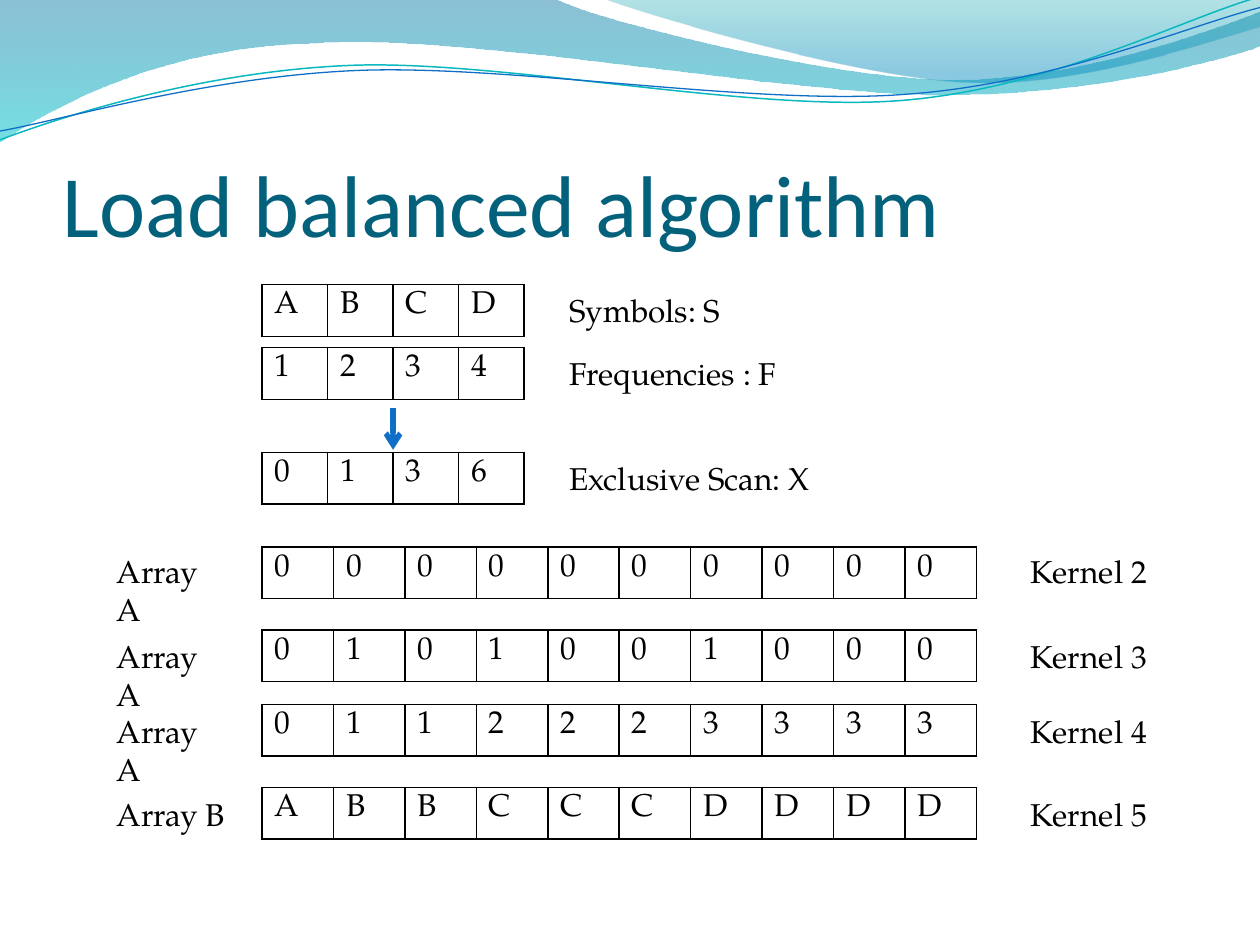
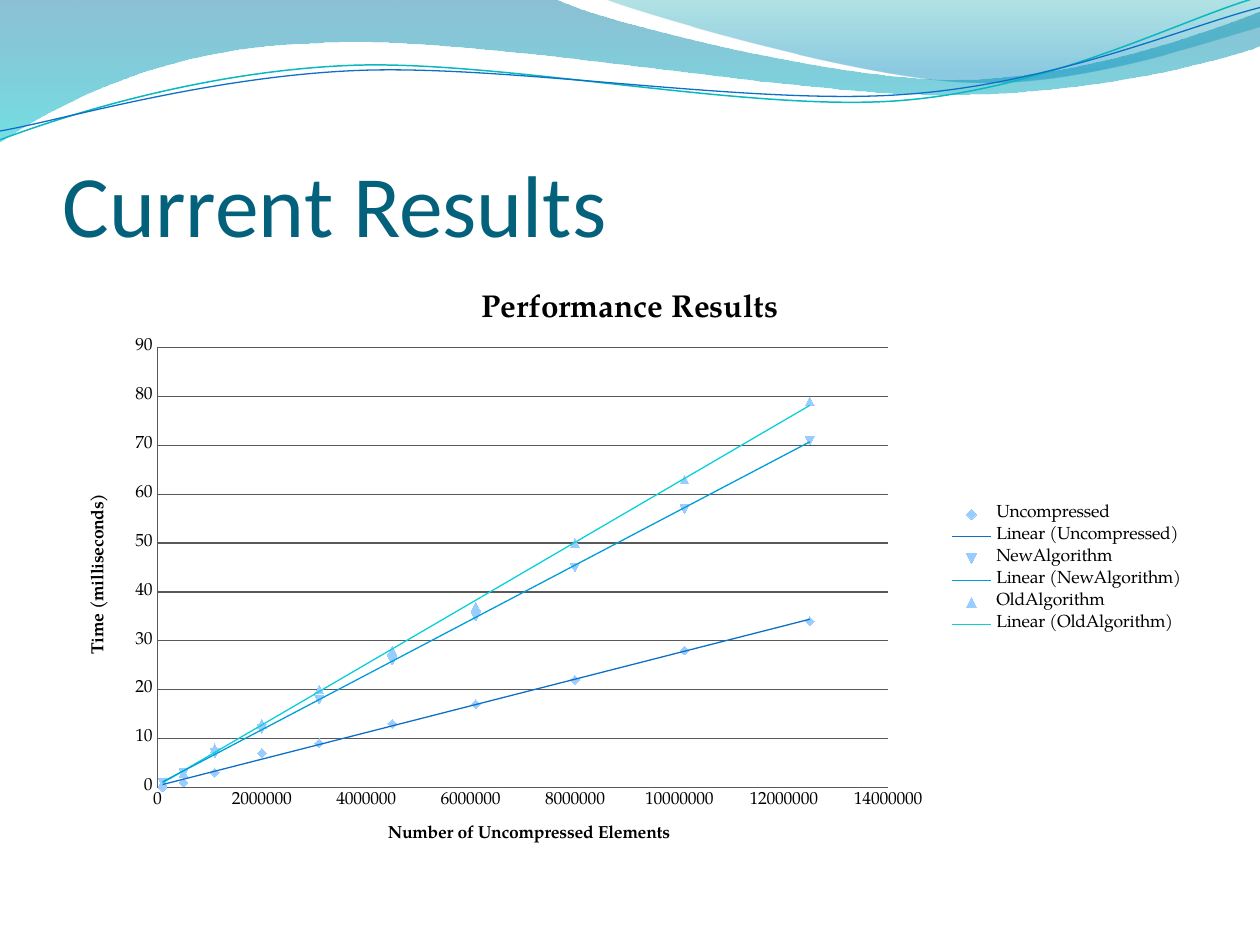
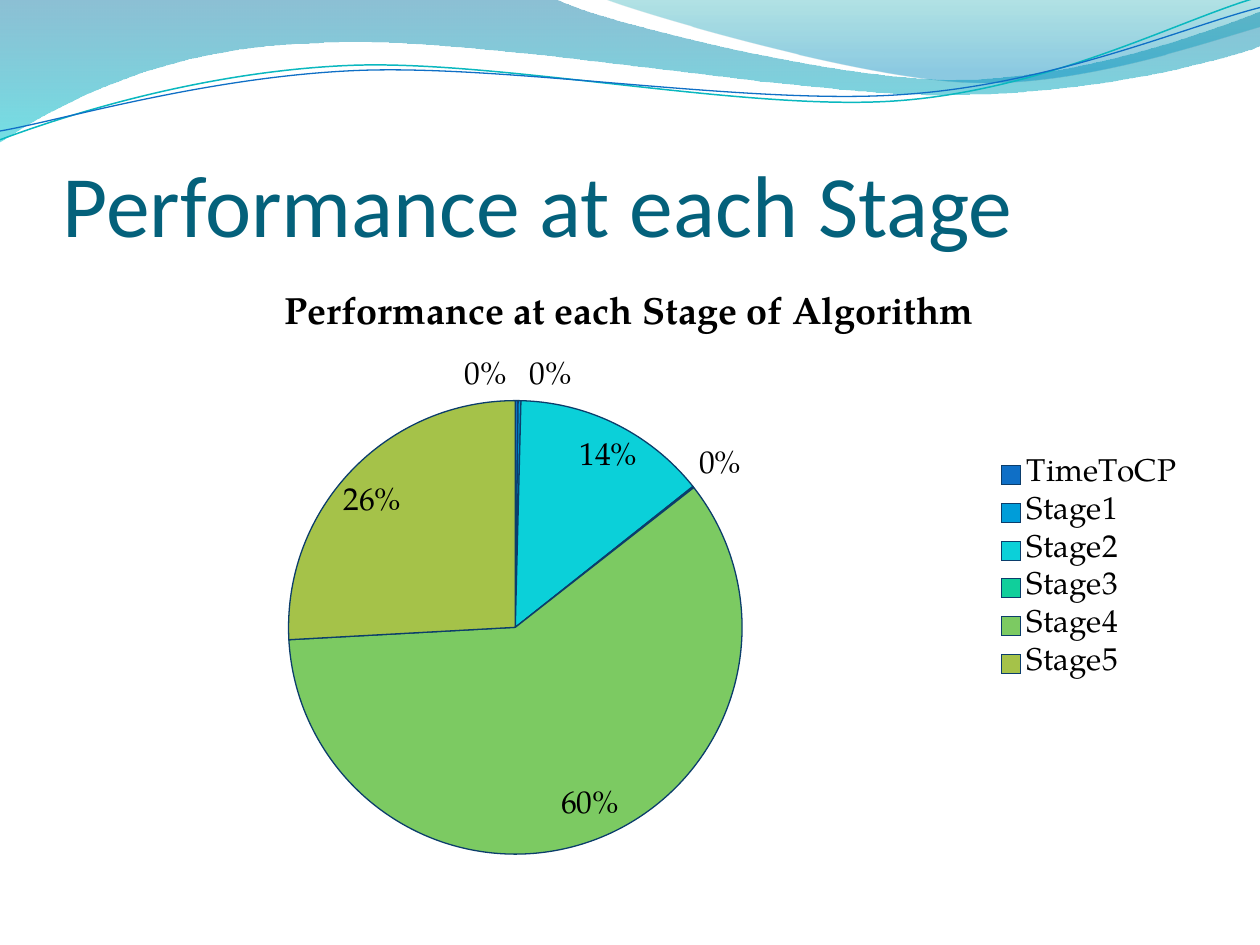
from lxml.etree import SubElement
from pptx import Presentation
from pptx.chart.data import CategoryChartData, XyChartData
from pptx.dml.color import RGBColor
from pptx.enum.chart import (XL_CHART_TYPE, XL_LABEL_POSITION, XL_LEGEND_POSITION,
                             XL_MARKER_STYLE, XL_TICK_MARK)
from pptx.enum.shapes import MSO_CONNECTOR
from pptx.enum.text import MSO_ANCHOR
from pptx.oxml import parse_xml
from pptx.oxml.ns import nsdecls, qn
from pptx.util import Inches, Pt

WIDTH, HEIGHT = 10, 7.5
TITLE_FONT, BODY_FONT = "Calibri", "TeX Gyre Pagella"
BLACK, TITLE_COLOR, GRID_COLOR, MARKER_COLOR, SLICE_EDGE = (
    "000000", "04617B", "595959", "99CCFF", "0B3D6B")
ACCENTS = ["0F6FC6", "009DD9", "0BD0D9", "10CF9B", "7CCA62", "A5C249"]
CHART_BOX = (0.05 * WIDTH, 2.12, 0.9 * WIDTH, 4.8)
SCATTER_BOX = (1.25, 2.76, 5.8, 3.49)
PIE_BOX = (2.29, 3.18, 3.6, 3.6)

BANDS = [
    ([(0, 0), (4.4, -0.01),
      (4.76, 0.17, 6.64, 0.63, 7.58, 0.63), (8.53, 0.63, 9.58, 0.26, 10, 0.09),
      (10.01, 0.36),
      (9.83, 0.44, 8.7, 0.76, 7.46, 0.75), (6.22, 0.75, 3.82, 0.28, 2.57, 0.34),
      (1.29, 0.36, 0.46, 0.83, -0.01, 1.13), (0, 0)],
     [(0, "0074A1", 45), (1, "00C6CF", 55)]),
    ([(4.79, -0.01),
      (5.09, 0.11, 6.82, 0.62, 7.69, 0.65), (8.56, 0.69, 9.61, 0.32, 10, 0.21),
      (10, 0), (4.79, -0.01)],
     [(0, "00A1A9", 30), (0.8, "008BBF", 45)]),
]
WAVES = [
    ([(0, 1.11), (0.48, 0.93, 1.58, 0.57, 2.77, 0.52),
      (3.95, 0.47, 5.93, 0.89, 7.13, 0.8), (8.33, 0.71, 9.38, 0.15, 9.98, -0.02)],
     "0AB8BF", 0.85),
    ([(0, 1.04), (0.47, 0.96, 1.64, 0.61, 2.83, 0.56),
      (4.03, 0.51, 5.97, 0.84, 7.17, 0.75), (8.36, 0.67, 9.41, 0.21, 10, 0.06)],
     "0F6FC6", 0.75),
]

LOOKUP_ROWS = [
    (2.26, "ABCD", "Symbols: S", 1.67),
    (2.76, "1234", "Frequencies : F", 1.92),
    (3.59, "0136", "Exclusive Scan: X", 2.17),
]
KERNEL_ROWS = [
    (4.34, 4.33, "Array A", "0000000000", "Kernel 2"),
    (5.0, 5.01, "Array A", "0101001000", "Kernel 3"),
    (5.59, 5.6, "Array A", "0112223333", "Kernel 4"),
    (6.25, 6.26, "Array B", "ABBCCCDDDD", "Kernel 5"),
]
ROW_LEFT, ROW_HEIGHT = 2.08, 0.41
LOOKUP_WIDTH, KERNEL_WIDTH = 2.08, 5.67

ELEMENTS = [100000, 500000, 1100000, 2000000, 3100000, 4500000,
            6100000, 8000000, 10100000, 12500000]
TIMINGS = {
    "Uncompressed": [0, 1, 3, 7, 9, 13, 17, 22, 28, 34],
    "NewAlgorithm": [1, 3, 7, 12, 18, 26, 35, 45, 57, 71],
    "OldAlgorithm": [1, 3, 8, 13, 20, 28, 37, 50, 63, 79],
}
STAGES = {"TimeToCP": 0.2, "Stage1": 0.2, "Stage2": 14, "Stage3": 0.1,
          "Stage4": 60, "Stage5": 26}


def rgb(color):
    return RGBColor.from_string(color)


def inches(*lengths):
    return [Inches(length) for length in lengths]


def style_font(font, size, color=BLACK, name=BODY_FONT, bold=False):
    font.size, font.name, font.bold = Pt(size), name, bold
    font.color.rgb = rgb(color)


def add_outline(slide, path, close):
    points = [tuple(inches(*part[index:index + 2]))
              for part in path for index in range(0, len(part), 2)]
    builder = slide.shapes.build_freeform(*points[0])
    builder.add_line_segments(points[1:], close=close)
    shape = builder.convert_to_shape()
    shape.shadow.inherit = False
    segments = iter(list(shape.element.iter(qn("a:lnTo"))))
    for part in path[1:]:
        corners = [next(segments) for _ in range(len(part) // 2)]
        if len(corners) == 3:
            curve = parse_xml(f'<a:cubicBezTo {nsdecls("a")}/>')
            corners[0].addprevious(curve)
            for corner in corners:
                curve.append(corner[0])
                corner.getparent().remove(corner)
    return shape


def add_header_to_layout(slide):
    layout = slide.slide_layout
    layout_tree = layout.shapes.element
    for placeholder in list(layout.placeholders):
        layout_tree.remove(placeholder.element)
    for path, stops in BANDS:
        band = add_outline(slide, path, True)
        band.line.fill.background()
        band.fill.gradient()
        band.fill.gradient_angle = 270
        for stop, (position, color, _) in zip(band.fill.gradient_stops, stops):
            stop.position, stop.color.rgb = position, rgb(color)
        for element, (_, _, opacity) in zip(band.element.iter(qn("a:srgbClr")), stops):
            SubElement(element, qn("a:alpha"), val=str(opacity * 1000))
        layout_tree.append(band.element)
    for path, color, width in WAVES:
        wave = add_outline(slide, path, False)
        wave.fill.background()
        wave.line.color.rgb, wave.line.width = rgb(color), Pt(width)
        layout_tree.append(wave.element)


def add_text(slide, box, text, size=18, color=BLACK, name=BODY_FONT):
    shape = slide.shapes.add_textbox(*inches(*box))
    frame = shape.text_frame
    frame.word_wrap = True
    frame.text = text
    style_font(frame.paragraphs[0].runs[0].font, size, color, name)
    return frame


def add_title(slide, text):
    frame = add_text(slide, (0.05 * WIDTH, 0.77, 0.9 * WIDTH, 1.25), text,
                     50, TITLE_COLOR, TITLE_FONT)
    frame.vertical_anchor = MSO_ANCHOR.BOTTOM
    frame.margin_left = frame.margin_right = frame.margin_bottom = 0


def add_row(slide, top, values, width):
    frame = slide.shapes.add_table(1, len(values),
                                   *inches(ROW_LEFT, top, width, ROW_HEIGHT))
    table = frame.table
    table.first_row = table.horz_banding = False
    for column, value in enumerate(values):
        table.columns[column].width = Inches(width / len(values))
        cell = table.cell(0, column)
        cell.text = value
        cell.fill.background()
        style_font(cell.text_frame.paragraphs[0].runs[0].font, 18)
    for properties in frame.element.iter(qn("a:tcPr")):
        for index, side in enumerate("LRTB"):
            properties.insert(index, parse_xml(
                f'<a:ln{side} {nsdecls("a")} w="12700"><a:solidFill>'
                f'<a:srgbClr val="{BLACK}"/></a:solidFill></a:ln{side}>'))


def add_scan_arrow(slide):
    middle = ROW_LEFT + LOOKUP_WIDTH / 2
    arrow = slide.shapes.add_connector(MSO_CONNECTOR.STRAIGHT,
                                       *inches(middle, 3.24, middle, 3.57))
    arrow.line.color.rgb, arrow.line.width = rgb(ACCENTS[0]), Pt(3)
    SubElement(arrow.element.find(".//" + qn("a:ln")), qn("a:tailEnd"), type="arrow")
    SubElement(arrow.element.spPr, qn("a:effectLst"))


def set_chart_text(frame, text, size):
    frame.text = text
    style_font(frame.paragraphs[0].runs[0].font, size, bold=True)


def add_chart(slide, kind, data, title, title_size, size, plot_box):
    chart = slide.shapes.add_chart(kind, *inches(*CHART_BOX), data).chart
    style_font(chart.font, size)
    chart.has_title = True
    set_chart_text(chart.chart_title.text_frame, title, title_size)
    chart.has_legend = True
    chart.legend.position = XL_LEGEND_POSITION.RIGHT
    chart.legend.include_in_layout = False
    plot_area = chart.element.find(".//" + qn("c:plotArea"))
    for layout in plot_area.findall(qn("c:layout")):
        plot_area.remove(layout)
    left, top, width, height = CHART_BOX
    x, y, plot_width, plot_height = plot_box
    shares = {"x": (x - left) / width, "y": (y - top) / height,
              "w": plot_width / width, "h": plot_height / height}
    values = "".join(f'<c:{name} val="{share:.4f}"/>' for name, share in shares.items())
    plot_area.insert(0, parse_xml(
        f'<c:layout {nsdecls("c")}><c:manualLayout><c:layoutTarget val="inner"/>'
        f'<c:xMode val="edge"/><c:yMode val="edge"/>{values}</c:manualLayout></c:layout>'))
    return chart


def style_axis(axis, title, maximum, unit, grid):
    axis.has_title = True
    set_chart_text(axis.axis_title.text_frame, title, 10)
    axis.minimum_scale, axis.maximum_scale, axis.major_unit = 0, maximum, unit
    axis.major_tick_mark = axis.minor_tick_mark = XL_TICK_MARK.NONE
    axis.tick_labels.number_format = "General"
    axis.tick_labels.number_format_is_linked = False
    axis.has_major_gridlines = grid
    lines = [axis.format.line] + ([axis.major_gridlines.format.line] if grid else [])
    for line in lines:
        line.color.rgb, line.width = rgb(GRID_COLOR), Pt(0.75)


def build_algorithm(slide):
    for top, values, label, label_width in LOOKUP_ROWS:
        add_row(slide, top, values, LOOKUP_WIDTH)
        add_text(slide, (4.42, top, label_width, 0.4), label)
    add_scan_arrow(slide)
    for top, label_top, array, values, kernel in KERNEL_ROWS:
        add_row(slide, top, values, KERNEL_WIDTH)
        add_text(slide, (0.83, label_top, 1.08, 0.4), array)
        add_text(slide, (8.08, label_top, 2.17, 0.4), kernel)


def build_results(slide):
    data = XyChartData()
    for name, times in TIMINGS.items():
        series = data.add_series(name)
        for count, time in zip(ELEMENTS, times):
            series.add_data_point(count, time)
    chart = add_chart(slide, XL_CHART_TYPE.XY_SCATTER, data, "Performance Results",
                      18, 10, SCATTER_BOX)
    chart.plots[0].vary_by_categories = False
    style_axis(chart.category_axis, "Number of Uncompressed Elements", 14000000, 2000000, False)
    style_axis(chart.value_axis, "Time (milliseconds)", 90, 10, True)
    for series in chart.plots[0].series:
        series.format.line.fill.background()
        series.smooth = False
        series.marker.style, series.marker.size = XL_MARKER_STYLE.AUTOMATIC, 5
        series.marker.format.fill.solid()
        series.marker.format.fill.fore_color.rgb = rgb(MARKER_COLOR)
        series.marker.format.line.fill.background()
    for element, color in zip(chart.element.iter(qn("c:ser")), ACCENTS):
        element.find(qn("c:xVal")).addprevious(parse_xml(
            f'<c:trendline {nsdecls("c", "a")}><c:spPr><a:ln w="9525"><a:solidFill>'
            f'<a:srgbClr val="{color}"/></a:solidFill></a:ln></c:spPr>'
            '<c:trendlineType val="linear"/><c:dispRSqr val="0"/><c:dispEq val="0"/>'
            '</c:trendline>'))


def build_stages(slide):
    data = CategoryChartData()
    data.categories = list(STAGES)
    data.add_series("Series 1", list(STAGES.values()))
    chart = add_chart(slide, XL_CHART_TYPE.PIE, data, "Performance at each Stage of Algorithm",
                      21.6, 18, PIE_BOX)
    plot = chart.plots[0]
    plot.vary_by_categories = True
    for index, color in enumerate(ACCENTS):
        slice_format = plot.series[0].points[index].format
        slice_format.fill.solid()
        slice_format.fill.fore_color.rgb = rgb(color)
        slice_format.line.color.rgb, slice_format.line.width = rgb(SLICE_EDGE), Pt(0.75)
    plot.has_data_labels = True
    labels = plot.data_labels
    labels.show_percentage, labels.show_value = True, False
    labels.number_format, labels.number_format_is_linked = "0%", False
    labels.position = XL_LABEL_POSITION.BEST_FIT
    style_font(labels.font, 18)


SLIDES = [
    ("Load balanced algorithm", build_algorithm),
    ("Current Results", build_results),
    ("Performance at each Stage", build_stages),
]


def main():
    presentation = Presentation()
    presentation.slide_width, presentation.slide_height = inches(WIDTH, HEIGHT)
    for number, (title, build) in enumerate(SLIDES):
        slide = presentation.slides.add_slide(presentation.slide_layouts[6])
        if number == 0:
            add_header_to_layout(slide)
        add_title(slide, title)
        build(slide)
    presentation.save("out.pptx")


if __name__ == "__main__":
    main()
